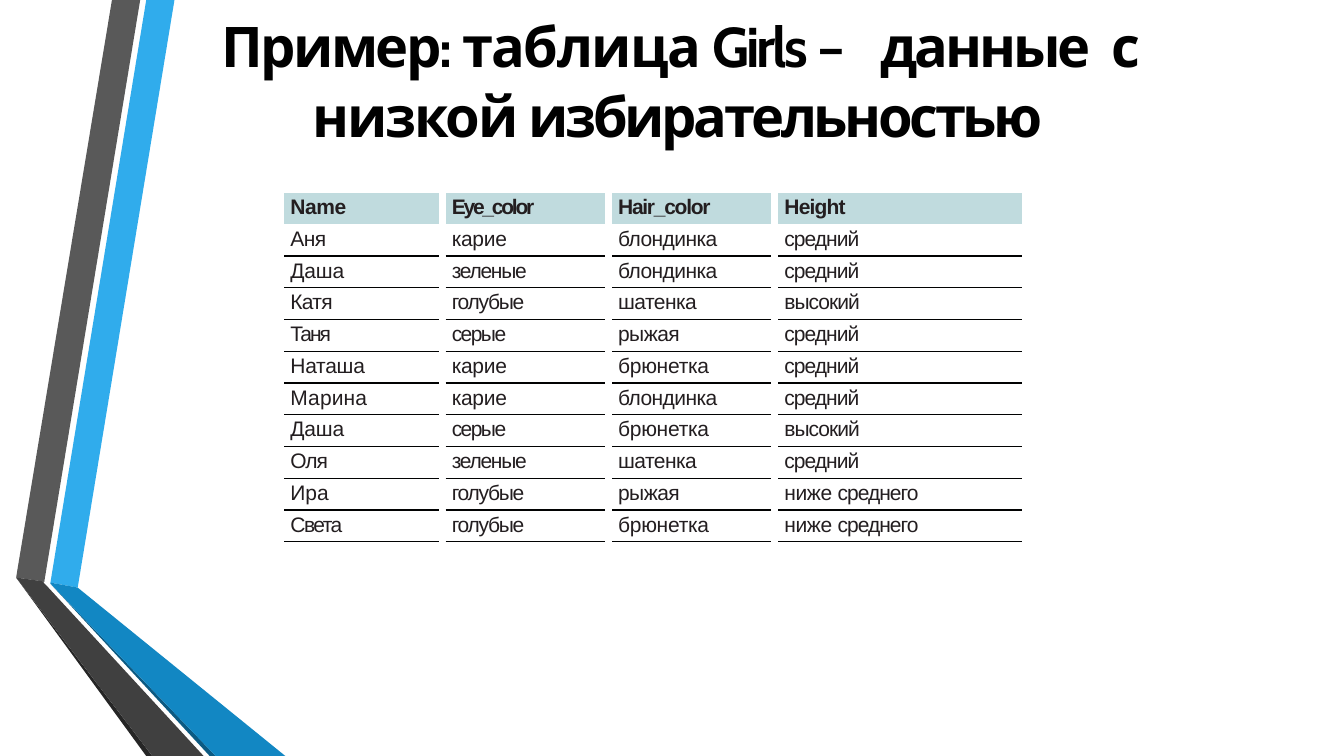
from dataclasses import dataclass
from typing import NamedTuple

from lxml import etree
from pptx import Presentation
from pptx.dml.color import RGBColor
from pptx.enum.text import MSO_ANCHOR, MSO_AUTO_SIZE, PP_ALIGN
from pptx.oxml.ns import qn
from pptx.util import Inches, Pt

CENTER = PP_ALIGN.CENTER
BOTTOM = MSO_ANCHOR.BOTTOM
GROW = MSO_AUTO_SIZE.SHAPE_TO_FIT_TEXT
PLAIN = "{2D5ABB26-0587-4C30-8999-92F81FD0307C}"  # table style with no grid
WIDE, HIGH = Inches(13.33), Inches(7.5)


@dataclass(frozen=True)
class Theme:
    title: str = "000000"
    ink: str = "231E20"
    head: str = "C0DBDE"
    rule: str = "010202"
    blue: str = "30ACEC"
    grey: str = "595959"
    black: str = "262626"
    navy: str = "0C5A82"
    azure: str = "1287C3"
    coal: str = "404040"
    title_font: str = "Cabin"
    table_font: str = "Arial"
    title_size: float = 40
    table_size: float = 15
    lead: float = 50
    title_gap: float = 5.6
    cell_gap: float = 3.7
    line: float = 1


THEME = Theme()


class Part(NamedTuple):
    """A piece of text and its letter spacing in points."""
    text: str
    space: float


class Style(NamedTuple):
    font: str
    size: float
    color: str
    bold: bool


class Band(NamedTuple):
    """A filled outline; points are percent of slide width and height."""
    color: str
    points: tuple[tuple[float, float], ...]


# Ribbon on the left
BANDS = (
    Band(THEME.blue, ((3.75, 77.07), (5.78, 77.73), (12.98, 0), (10.88, 0))),
    Band(THEME.grey, ((10.43, 0), (8.33, 0), (1.2, 76.4), (3.3, 76.93))),
    Band(THEME.black, ((1.2, 76.4), (10.88, 100), (11.33, 100))),
    Band(THEME.navy, ((3.75, 77.2), (15.6, 100), (16.05, 100))),
    Band(THEME.azure, ((3.75, 77.2), (16.05, 100), (21.23, 100), (5.78, 77.73),
                       (3.75, 77.07))),
    Band(THEME.coal, ((15.15, 100), (3.6, 77.73), (3.23, 77.07), (3.3, 76.93),
                      (1.2, 76.4), (11.33, 100))),
)

# Wording
TITLE = (
    Part("Пример: ", -1.8), Part("таблица ", -1.1), Part("Girls ", -2.1),
    Part("– ", 8.1), Part("данные", -2.2), Part(" ", 6), Part("с ", -4.7),
    Part("низкой ", -1.6), Part("избирательностью", -2.4),
)
ROWS = (
    ("Name", "Eye_color", "Hair_color", "Height"),
    ("Аня", "карие", "блондинка", "средний"),
    ("Даша", "зеленые", "блондинка", "средний"),
    ("Катя", "голубые", "шатенка", "высокий"),
    ("Таня", "серые", "рыжая", "средний"),
    ("Наташа", "карие", "брюнетка", "средний"),
    ("Марина", "карие", "блондинка", "средний"),
    ("Даша", "серые", "брюнетка", "высокий"),
    ("Оля", "зеленые", "шатенка", "средний"),
    ("Ира", "голубые", "рыжая", "ниже среднего"),
    ("Света", "голубые", "брюнетка", "ниже среднего"),
)
SPACES = {
    "Name": -0.3, "Eye_color": -1.6, "Hair_color": -0.9, "Height": -0.6,
    "Аня": -0.4, "Даша": -0.1, "Катя": -0.5, "Таня": -1.4, "Наташа": -0.2,
    "Марина": 0.1, "Оля": -0.8, "Ира": 0, "Света": -1.1,
    "карие": -0.2, "зеленые": -0.9, "голубые": -0.9, "серые": -1.1,
    "блондинка": -0.4, "шатенка": -0.4, "рыжая": -0.4, "брюнетка": -0.2,
    "средний": -0.7, "высокий": -0.7, "ниже": -0.3, "среднего": -0.7,
}
# Table columns, with narrow gaps between them
COLS = (11.48, 0.53, 11.85, 0.53, 11.85, 0.53, 18.15)
ROW = 4.2


def across(share: float) -> int:
    return round(WIDE * share / 100)


def down(share: float) -> int:
    return round(HIGH * share / 100)


def color(code: str) -> RGBColor:
    return RGBColor.from_string(code)


def write(para, parts: tuple[Part, ...], style: Style) -> None:
    para.text = parts[0].text
    for part in parts[1:]:
        para.add_run().text = part.text
    for run, part in zip(para.runs, parts):
        font = run.font
        font.name, font.size, font.bold = style.font, Pt(style.size), style.bold
        font.color.rgb = color(style.color)
        run._r.get_or_add_rPr().set("spc", str(round(part.space * 100)))


def draw_band(slide, band: Band) -> None:
    first, *rest = [(across(x), down(y)) for x, y in band.points]
    pen = slide.shapes.build_freeform(*first)
    pen.add_line_segments(rest, close=True)
    shape = pen.convert_to_shape()
    shape.shadow.inherit = False
    shape.fill.solid()
    shape.fill.fore_color.rgb = color(band.color)
    shape.line.fill.background()


def draw_title(slide) -> None:
    box = slide.shapes.add_textbox(across(14.93), 0, across(70.97), down(19.73))
    frame = box.text_frame
    frame.word_wrap, frame.auto_size = True, GROW
    frame.vertical_anchor = BOTTOM
    frame.margin_left = frame.margin_right = frame.margin_bottom = 0
    frame.margin_top = down(1.07)
    para = frame.paragraphs[0]
    write(para, TITLE, Style(THEME.title_font, THEME.title_size, THEME.title, True))
    para.alignment = CENTER
    para.line_spacing, para.space_before = Pt(THEME.lead), Pt(THEME.title_gap)


def rule(cell, sides: tuple[str, ...]) -> None:
    props = cell._tc.get_or_add_tcPr()
    for spot, side in enumerate(sides):
        line = etree.Element(qn(f"a:{side}"), w=str(Pt(THEME.line)))
        fill = etree.SubElement(line, qn("a:solidFill"))
        etree.SubElement(fill, qn("a:srgbClr"), val=THEME.rule)
        props.insert(spot, line)


def fill_cell(cell, text: str, row: int) -> None:
    words = text.split()
    parts = tuple(Part(word if word == words[-1] else f"{word} ", SPACES[word])
                  for word in words)
    para = cell.text_frame.paragraphs[0]
    write(para, parts, Style(THEME.table_font, THEME.table_size, THEME.ink, row == 0))
    para.space_before = Pt(THEME.cell_gap)
    para._p.get_or_add_pPr().set("marL", str(across(0.45)))
    cell.margin_top = down(0.4)
    if row == 0:
        cell.fill.solid()
        cell.fill.fore_color.rgb = color(THEME.head)
    else:
        rule(cell, ("lnB",) if row == 1 else ("lnT", "lnB"))


def draw_table(slide) -> None:
    frame = slide.shapes.add_table(
        len(ROWS), len(COLS), across(21.16), down(25.47),
        across(sum(COLS)), down(ROW * len(ROWS)))
    table = frame.table
    table.first_row = table.horz_banding = False
    next(frame.element.iter(qn("a:tableStyleId"))).text = PLAIN
    for col, share in zip(table.columns, COLS):
        col.width = across(share)
    for line in table.rows:
        line.height = down(ROW)
    for cell in table.iter_cells():
        cell.margin_left = cell.margin_right = 0
        cell.margin_top = cell.margin_bottom = 0
        cell.fill.background()
    for row, texts in enumerate(ROWS):
        for col, text in enumerate(texts):
            fill_cell(table.cell(row, 2 * col), text, row)


def main() -> None:
    deck = Presentation()
    deck.slide_width, deck.slide_height = WIDE, HIGH
    slide = deck.slides.add_slide(deck.slide_layouts[6])
    for band in BANDS:
        draw_band(slide, band)
    draw_title(slide)
    draw_table(slide)
    deck.save("out.pptx")


if __name__ == "__main__":
    main()
